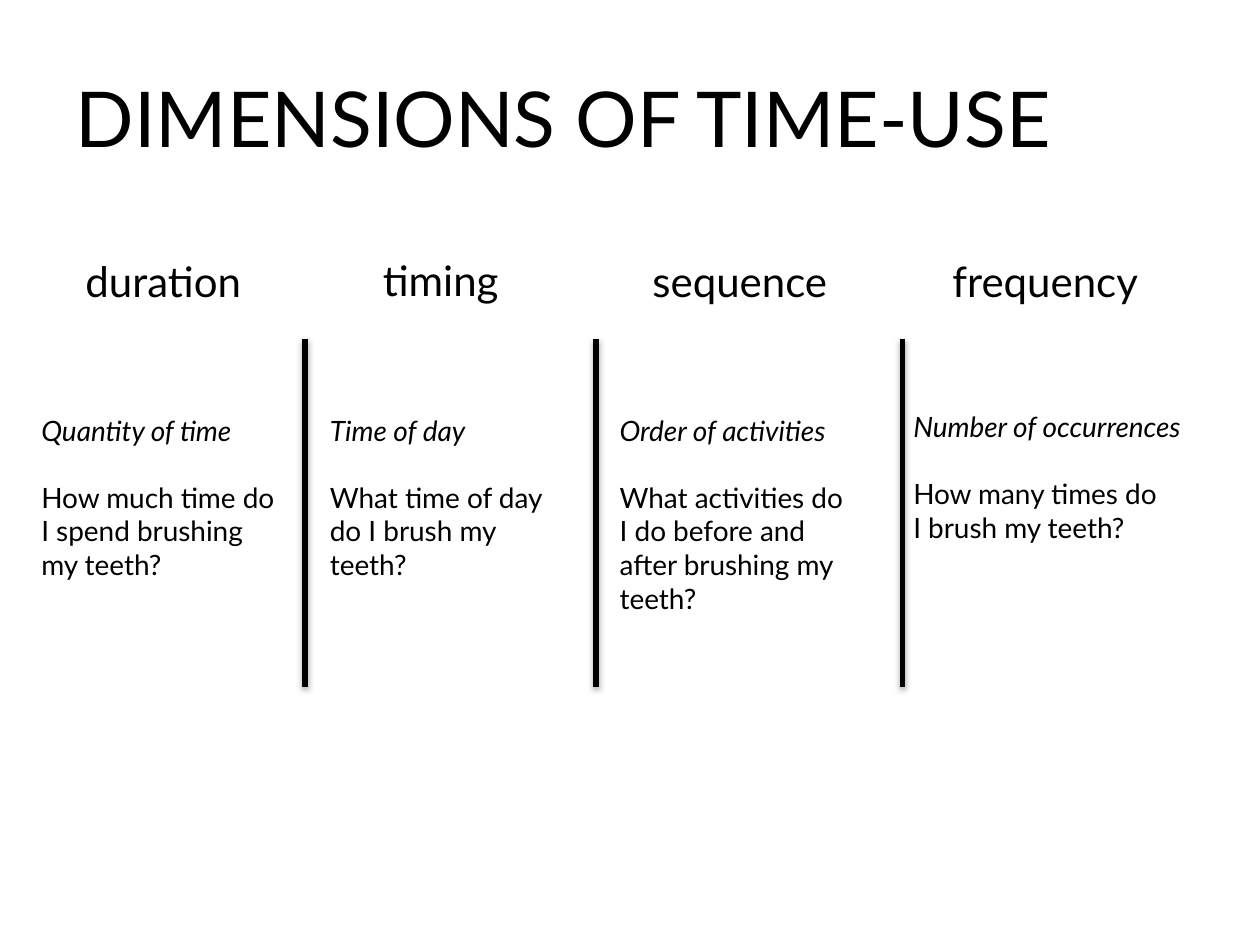
"""Build the slide on the four dimensions of time-use."""
from lxml.etree import fromstring
from pptx import Presentation
from pptx.dml.color import RGBColor
from pptx.enum.shapes import MSO_CONNECTOR
from pptx.enum.text import MSO_ANCHOR, PP_ALIGN
from pptx.util import Inches, Pt

BLACK = RGBColor(0, 0, 0)
TITLE = "DIMENSIONS OF TIME-USE"
HEADS = [
    ("duration", 0.58, 1.98, 1.63),
    ("timing", 2.94, 1.97, 1.3),
    ("sequence", 5.08, 1.98, 1.77),
    ("frequency", 7.46, 1.98, 1.89),
]
NOTES = [
    ("Quantity of time", "How much time do I spend brushing\nmy teeth?", 0.23, 3.23, 2.14, 1.72),
    ("Time of day", "What time of day\ndo I brush my\nteeth?", 2.52, 3.23, 2.1, 1.45),
    ("Order of activities", "What activities do\nI do before and\nafter brushing my\nteeth?",
     4.82, 3.23, 2.26, 1.72),
    ("Number of occurrences", "How many times do\nI brush my teeth?", 7.15, 3.2, 2.87, 1.18),
]
RULES = [2.42, 4.73, 7.16]
TOP, END = 2.69, 5.45
GAP = Pt(19.2)
SHADOW = (
    '<a:effectLst xmlns:a="http://schemas.openxmlformats.org/drawingml/2006/main">'
    '<a:outerShdw blurRad="40000" dist="23000" dir="5400000" rotWithShape="0">'
    '<a:srgbClr val="000000"><a:alpha val="35000"/></a:srgbClr>'
    '</a:outerShdw></a:effectLst>'
)


def write(para, text, size, italic=False):
    """Fill and format one paragraph."""
    para.text = text
    para.alignment = PP_ALIGN.LEFT
    style = {"name": "Lato", "size": Pt(size), "italic": italic}
    for run in para.runs:
        for key, value in style.items():
            setattr(run.font, key, value)
        run.font.color.rgb = BLACK


def add_box(slide, *place):
    """Add a wrapping text box and return its frame."""
    frame = slide.shapes.add_textbox(*map(Inches, place)).text_frame
    frame.word_wrap = True
    return frame


deck = Presentation()
deck.slide_width, deck.slide_height = Inches(10), Inches(7.5)
slide = deck.slides.add_slide(deck.slide_layouts[5])

title = slide.shapes.title
title.left, title.top, title.width, title.height = map(Inches, (0.5, 0.3, 9, 1.25))
title.text_frame.vertical_anchor = MSO_ANCHOR.MIDDLE
write(title.text_frame.paragraphs[0], TITLE, 44)

for x in RULES:
    rule = slide.shapes.add_connector(
        MSO_CONNECTOR.STRAIGHT, Inches(x), Inches(TOP), Inches(x), Inches(END))
    rule.line.color.rgb = BLACK
    rule.line.width = Pt(3)
    rule._element.spPr.append(fromstring(SHADOW))

for head, x, y, width in HEADS:
    write(add_box(slide, x, y, width, 0.5).paragraphs[0], head, 24)

for term, ask, *place in NOTES:
    frame = add_box(slide, *place)
    write(frame.paragraphs[0], term, 16, True)
    para = frame.add_paragraph()
    write(para, ask, 16)
    para.space_before = GAP

deck.save("out.pptx")
